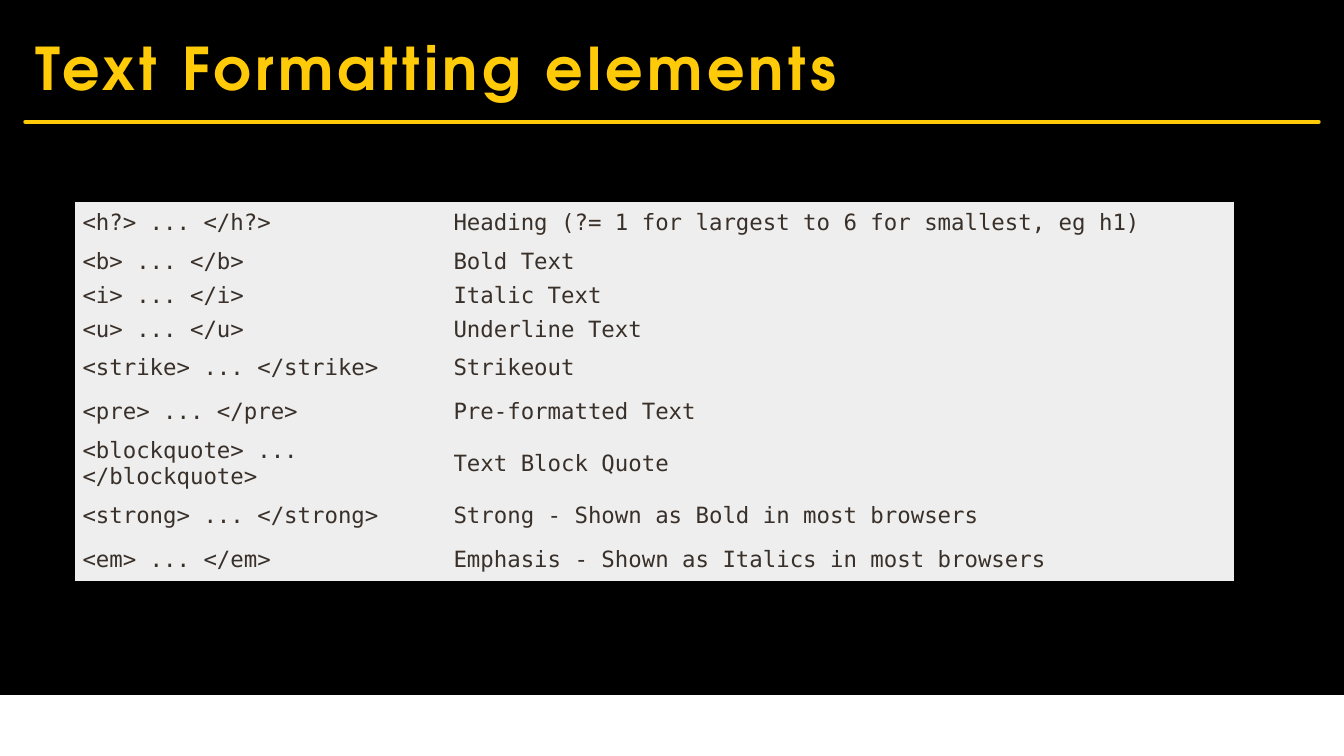
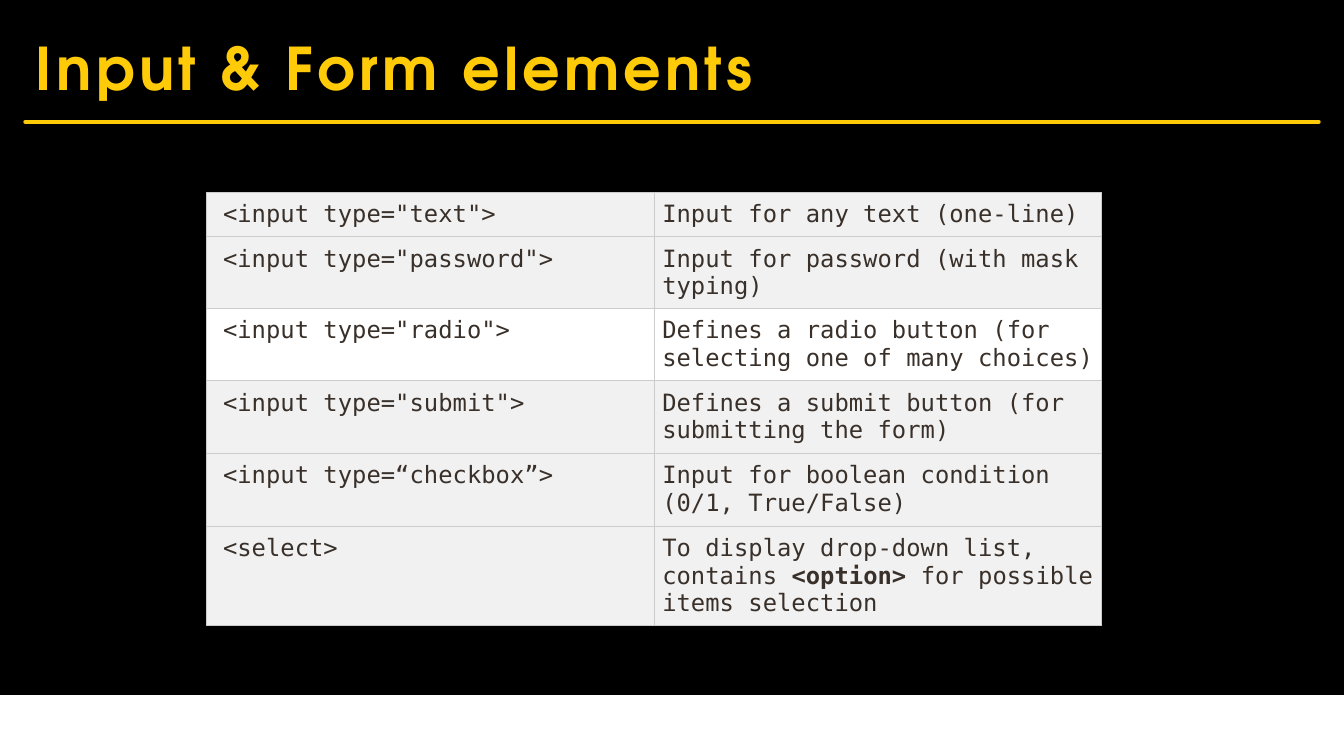
from lxml import etree
from pptx import Presentation
from pptx.dml.color import RGBColor
from pptx.enum.shapes import MSO_CONNECTOR, MSO_SHAPE
from pptx.enum.text import MSO_ANCHOR
from pptx.oxml import parse_xml
from pptx.oxml.ns import nsdecls, qn
from pptx.util import Cm, Pt

RECTANGLE = MSO_SHAPE.RECTANGLE
STRAIGHT = MSO_CONNECTOR.STRAIGHT
TOP, MIDDLE = MSO_ANCHOR.TOP, MSO_ANCHOR.MIDDLE

BLACK = RGBColor(0x00, 0x00, 0x00)
WHITE = RGBColor(0xFF, 0xFF, 0xFF)
GOLD = RGBColor(0xFF, 0xCA, 0x08)
BROWN = RGBColor(0x39, 0x30, 0x2A)
GREY = RGBColor(0xEE, 0xEE, 0xEE)
LIGHT_GREY = RGBColor(0xF1, 0xF1, 0xF1)
BORDER_GREY = RGBColor(0xCC, 0xCC, 0xCC)

TITLE_FONT = "TeX Gyre Adventor"
CODE_FONT = "DejaVu Sans Mono"
PLAIN_TABLE_STYLE = "{2D5ABB26-0587-4C30-8999-92F81FD0307C}"

SLIDE_W, SLIDE_H = Cm(33.87), Cm(19.05)
MARGIN = Cm(0.64)
CONTENT_W = SLIDE_W - 2 * MARGIN

FORMATTING = [
    ("<h?> ... </h?>", "Heading (?= 1 for largest to 6 for smallest, eg h1)"),
    ("<b> ... </b>", "Bold Text"),
    ("<i> ... </i>", "Italic Text"),
    ("<u> ... </u>", "Underline Text"),
    ("<strike> ... </strike>", "Strikeout"),
    ("<pre> ... </pre>", "Pre-formatted Text"),
    ("<blockquote> ... </blockquote>", "Text Block Quote"),
    ("<strong> ... </strong>", "Strong - Shown as Bold in most browsers"),
    ("<em> ... </em>", "Emphasis - Shown as Italics in most browsers"),
]
FORMATTING_HEIGHTS = [1.09] + [0.74] * 3 + [1.09] * 2 + [1.55] + [1.09] * 2

FORM = [
    ('<input type="text">', "Input for any text (one-line)"),
    ('<input type="password">', "Input for password (with mask typing)"),
    ('<input type="radio">',
     "Defines a radio button (for selecting one of many choices)"),
    ('<input type="submit">',
     "Defines a submit button (for submitting the form)"),
    ("<input type=“checkbox”>",
     "Input for boolean condition (0/1, True/False)"),
    ("<select>", "To display drop-down list, contains **<option> **"
                 "for possible items selection"),
]
FORM_HEIGHTS = [1.12] * 2 + [1.83] * 4
FORM_FILLS = [LIGHT_GREY] * 2 + [WHITE] + [LIGHT_GREY] * 3


def style_titles(master, layout):
    level = master.element.find(f".//{qn('p:titleStyle')}/{qn('a:lvl1pPr')}")
    level.set("algn", "l")
    level.replace(level.find(qn("a:defRPr")), parse_xml(
        f'<a:defRPr {nsdecls("a")} sz="4200" b="1" spc="300">'
        f'<a:solidFill><a:srgbClr val="{GOLD}"/></a:solidFill>'
        f'<a:latin typeface="{TITLE_FONT}"/></a:defRPr>'))
    title = layout.placeholders[0]
    title.left, title.top = MARGIN, Cm(0.43)
    title.width, title.height = CONTENT_W, Cm(2.49)


def add_footer_band(slide):
    band = slide.shapes.add_shape(
        RECTANGLE, 0, Cm(17.53), SLIDE_W, Cm(1.5))
    band.shadow.inherit = False
    band.fill.solid()
    band.fill.fore_color.rgb = WHITE
    band.line.color.rgb = WHITE
    band.line.width = Pt(1.5)
    return band


def add_title_rule(slide):
    y = Cm(3.07)
    rule = slide.shapes.add_connector(
        STRAIGHT, MARGIN, y, MARGIN + CONTENT_W, y)
    rule.line.color.rgb = GOLD
    rule.line.width = Pt(3)
    props = rule.element.spPr
    props.find(qn("a:ln")).set("cap", "rnd")
    etree.SubElement(props, qn("a:effectLst"))
    return rule


def move_to_layout(shapes, layout):
    """Make shapes drawn on a slide part of every slide with this layout."""
    for shape_id, sp in enumerate(shapes, start=20):
        sp.element.xpath(".//p:cNvPr")[0].set("id", str(shape_id))
        layout.shapes.element.append(sp.element)


def add_titled_slide(prs, layout, title):
    slide = prs.slides.add_slide(layout)
    slide.shapes.title.text_frame.text = title
    return slide


def set_borders(cell, color):
    props = cell._tc.get_or_add_tcPr()
    for side in ("lnL", "lnR", "lnT", "lnB"):
        props.append(parse_xml(
            f'<a:{side} {nsdecls("a")} w="{Pt(0.75)}"><a:solidFill>'
            f'<a:srgbClr val="{color}"/></a:solidFill></a:{side}>'))


def write_cell(cell, text, size):
    """Write text in which **double stars** enclose bold words."""
    p = cell.text_frame.paragraphs[0]
    for i, part in enumerate(text.split("**")):
        r = p.add_run()
        r.text = part
        r.font.name = CODE_FONT
        r.font.size = Pt(size)
        r.font.bold = i % 2 == 1
        r.font.color.rgb = BROWN


def add_code_table(slide, rows, left, top, widths, heights, fills, insets,
                   size, anchor, border=None):
    """Add a table; insets holds (left, right, top and bottom) per column."""
    frame = slide.shapes.add_table(
        len(rows), len(widths), Cm(left), Cm(top),
        Cm(sum(widths)), Cm(sum(heights)))
    table = frame.table
    table.first_row = table.horz_banding = False
    next(frame.element.iter(qn("a:tableStyleId"))).text = PLAIN_TABLE_STYLE
    for column, width in zip(table.columns, widths):
        column.width = Cm(width)
    for row, height, texts, fill in zip(table.rows, heights, rows, fills):
        row.height = Cm(height)
        for cell, text, (start, end, edge) in zip(row.cells, texts, insets):
            cell.margin_left, cell.margin_right = Cm(start), Cm(end)
            cell.margin_top = cell.margin_bottom = Cm(edge)
            cell.vertical_anchor = anchor
            if border is not None:
                set_borders(cell, border)
            cell.fill.solid()
            cell.fill.fore_color.rgb = fill
            write_cell(cell, text, size)


def main():
    prs = Presentation()
    prs.slide_width, prs.slide_height = SLIDE_W, SLIDE_H
    master, layout = prs.slide_master, prs.slide_layouts[5]
    master.background.fill.solid()
    master.background.fill.fore_color.rgb = BLACK
    style_titles(master, layout)

    slide = add_titled_slide(prs, layout, "Text Formatting elements")
    move_to_layout([add_footer_band(slide), add_title_rule(slide)], layout)
    add_code_table(
        slide, FORMATTING, 1.9, 5.08, [9.35, 19.84], FORMATTING_HEIGHTS,
        [GREY] * len(FORMATTING), [(0.18, 0.1, 0.1), (0.18, 0.18, 0.1)],
        16, MIDDLE)

    slide = add_titled_slide(prs, layout, "Input & Form elements")
    add_code_table(
        slide, FORM, 5.21, 4.85, [11.28] * 2, FORM_HEIGHTS, FORM_FILLS,
        [(0.41, 0.2, 0.2), (0.2, 0.2, 0.2)], 17, TOP, BORDER_GREY)

    prs.save("out.pptx")


if __name__ == "__main__":
    main()
